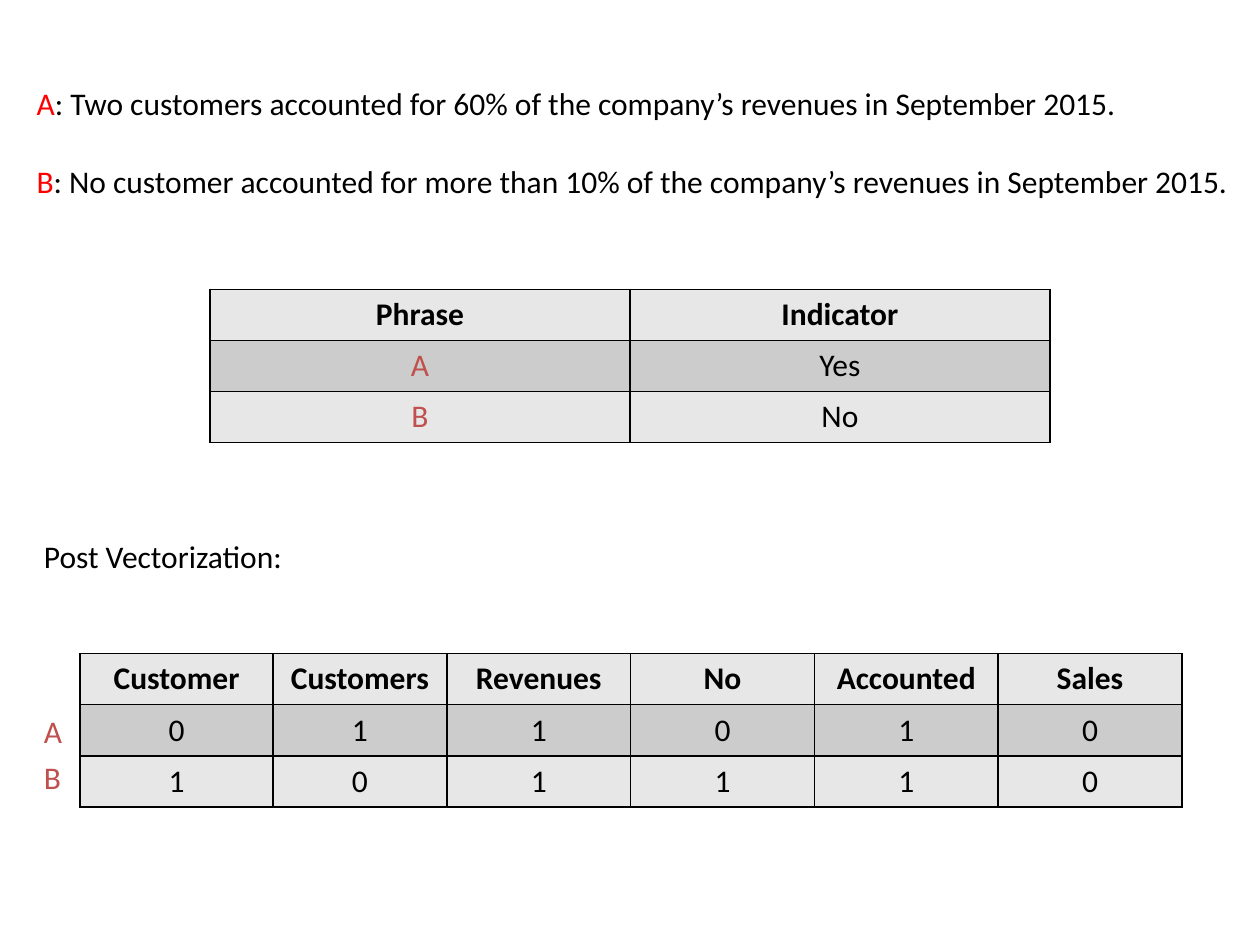
from lxml.etree import SubElement
from pptx import Presentation
from pptx.dml.color import RGBColor
from pptx.enum.text import MSO_AUTO_SIZE, PP_ALIGN
from pptx.oxml.ns import qn
from pptx.util import Pt

BLACK, RED, BRICK = "000000", "FF0000", "C0504D"
LIGHT, DARK = "E7E7E7", "CCCCCC"
ROW_HEIGHT = 29.2


def color(value):
    """Turn a hex string into a colour."""
    return RGBColor.from_string(value)


def format_run(run, run_color, bold=False):
    """Apply the slide's type style to a run."""
    run.font.name = "Calibri"
    run.font.size = Pt(18)
    run.font.bold = bold
    run.font.color.rgb = color(run_color)


def add_text(slide, left, top, width, parts):
    """Add a one-line text box made of (text, colour) parts."""
    shape = slide.shapes.add_textbox(Pt(left), Pt(top), Pt(width), Pt(29))
    text_frame = shape.text_frame
    text_frame.word_wrap = False
    text_frame.auto_size = MSO_AUTO_SIZE.SHAPE_TO_FIT_TEXT
    for text, run_color in parts:
        run = text_frame.paragraphs[0].add_run()
        run.text = text
        format_run(run, run_color)


def add_borders(cell):
    """Draw a thin black line on every side of a cell."""
    properties = cell._tc.get_or_add_tcPr()
    for side in ("a:lnL", "a:lnR", "a:lnT", "a:lnB"):
        line = SubElement(properties, qn(side), w=str(Pt(1)))
        fill = SubElement(line, qn("a:solidFill"))
        SubElement(fill, qn("a:srgbClr"), val=BLACK)


def fill_cell(cell, text, fill_color, text_color, bold):
    """Write and style one table cell."""
    cell.text_frame.text = text
    paragraph = cell.text_frame.paragraphs[0]
    paragraph.alignment = PP_ALIGN.CENTER
    format_run(paragraph.runs[0], text_color, bold)
    add_borders(cell)
    cell.fill.solid()
    cell.fill.fore_color.rgb = color(fill_color)


def add_grid(slide, left, top, widths, rows):
    """Add a banded table with a bold header row."""
    shape = slide.shapes.add_table(
        len(rows), len(widths), Pt(left), Pt(top),
        Pt(sum(widths)), Pt(ROW_HEIGHT * len(rows)))
    table = shape.table
    for column, width in zip(table.columns, widths):
        column.width = Pt(width)
    for row_index, values in enumerate(rows):
        table.rows[row_index].height = Pt(ROW_HEIGHT)
        for column_index, text in enumerate(values):
            fill_cell(table.cell(row_index, column_index), text,
                      DARK if row_index % 2 else LIGHT,
                      BRICK if text in ("A", "B") else BLACK,
                      bold=row_index == 0)


def main():
    """Build the slide and save it."""
    presentation = Presentation()
    presentation.slide_width, presentation.slide_height = Pt(720), Pt(540)
    slide = presentation.slides.add_slide(presentation.slide_layouts[6])

    add_text(slide, 13.8, 44.2, 641.5, [
        ("A", RED),
        (": Two customers accounted for 60% of the company’s revenues "
         "in September 2015.", BLACK)])
    add_text(slide, 13.8, 89.3, 705.6, [
        ("B", RED),
        (": No customer accounted for more than 10% of the company’s revenues "
         "in September 2015.", BLACK)])
    add_text(slide, 18, 303.4, 154, [("Post Vectorization:", BLACK)])

    add_grid(slide, 45.8, 373.5, [110.2, 99.4] + [105] * 4, [
        ["Customer", "Customers", "Revenues", "No", "Accounted", "Sales"],
        ["0", "1", "1", "0", "1", "0"],
        ["1", "0", "1", "1", "1", "0"]])
    for label, top in (("A", 403.4), ("B", 429.8)):
        add_text(slide, 18, top, 25, [(label, BRICK)])

    add_grid(slide, 120, 165.4, [240, 240], [
        ["Phrase", "Indicator"], ["A", "Yes"], ["B", "No"]])

    presentation.save("out.pptx")


main()
